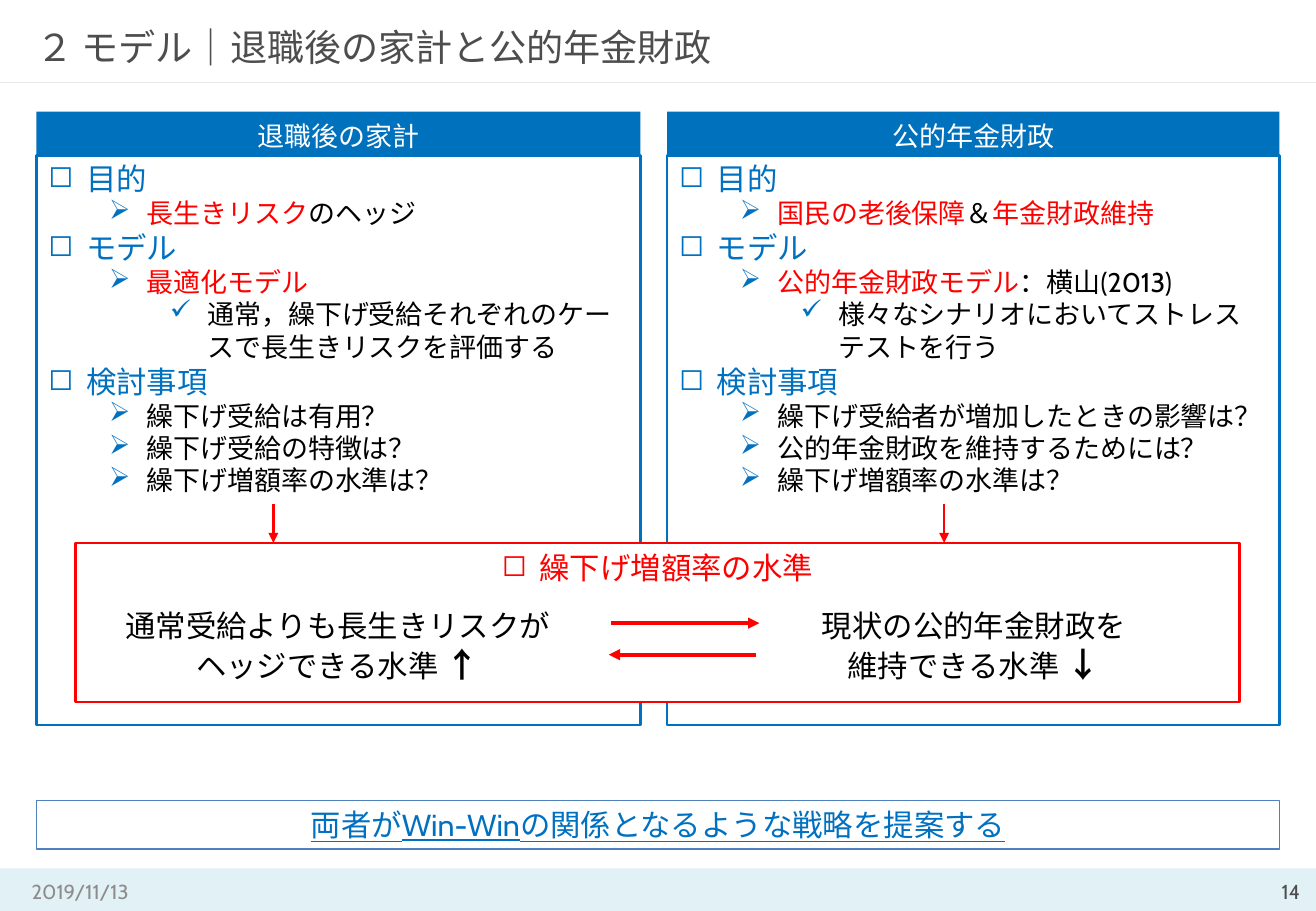
"""Build the slide on household finances after retirement and public pension finances."""
from lxml.etree import SubElement
from pptx import Presentation
from pptx.dml.color import RGBColor
from pptx.enum.shapes import MSO_CONNECTOR, MSO_SHAPE
from pptx.enum.text import MSO_ANCHOR, PP_ALIGN
from pptx.oxml.ns import qn
from pptx.util import Inches, Pt

COLORS = {
    "blue": "0070C0", "header": "0071BC", "outline": "4F81BD", "red": "FF0000",
    "black": "000000", "white": "FFFFFF", "title": "4D4D4D", "date": "8C8C8C",
    "rule": "EAEAEA", "footer": "DBEEF4",
}
WIDTH, HEIGHT = 10.83, 7.5
MARGIN = 0.3
CONTENT_WIDTH = WIDTH - 2 * MARGIN
HEADER_TOP, HEADER_HEIGHT = 0.92, 0.36
PANEL_TOP = HEADER_TOP + HEADER_HEIGHT
PANEL_HEIGHT = 4.69
RESULT_TOP = 4.47
LEVELS = [("◻", 18), ("➢", 16), ("✓", 16)]
INDENT, LEVEL_STEP = 0.31, 0.5


def add_box(at, fill=None, line=None, line_width=1.5, anchor=MSO_ANCHOR.TOP, insets=None):
    """Add a rectangle with the given fill, outline and text insets."""
    shape = slide.shapes.add_shape(MSO_SHAPE.RECTANGLE, *map(Inches, at))
    shape.shadow.inherit = False
    if fill:
        shape.fill.solid()
        shape.fill.fore_color.rgb = RGBColor.from_string(COLORS[fill])
    else:
        shape.fill.background()
    if line:
        shape.line.color.rgb = RGBColor.from_string(COLORS[line])
        shape.line.width = Pt(line_width)
    else:
        shape.line.fill.background()
    frame = shape.text_frame
    frame.word_wrap = True
    frame.vertical_anchor = anchor
    if insets:
        frame.margin_left, frame.margin_top, frame.margin_right, frame.margin_bottom = map(Inches, insets)
    return shape


def add_text(frame, runs, size, align=PP_ALIGN.LEFT, level=None, bullet_color="blue"):
    """Write one paragraph of coloured runs, bulleted when a level is given."""
    paragraph = frame.paragraphs[0]
    if paragraph.runs:
        paragraph = frame.add_paragraph()
    paragraph.alignment = align
    if level is not None:
        properties = paragraph._p.get_or_add_pPr()
        properties.set("marL", str(Inches(INDENT + level * LEVEL_STEP)))
        properties.set("indent", str(-Inches(INDENT)))
        color = SubElement(properties, qn("a:buClr"))
        SubElement(color, qn("a:srgbClr"), val=COLORS[bullet_color])
        SubElement(properties, qn("a:buChar"), char=LEVELS[level][0])
        paragraph.level = level
    paragraph.font.size = Pt(size)
    paragraph.font.name = "Cabin"
    for text, color in runs:
        run = paragraph.add_run()
        run.text = text
        run.font.color.rgb = RGBColor.from_string(COLORS[color])
    return paragraph


presentation = Presentation()
presentation.slide_width, presentation.slide_height = Inches(WIDTH), Inches(HEIGHT)
slide = presentation.slides.add_slide(presentation.slide_layouts[6])

footer = add_box((0, 7.15, WIDTH, HEIGHT - 7.15), fill="footer")
footer_color = footer.fill._xPr.find(qn("a:solidFill"))[0]
SubElement(footer_color, qn("a:alpha"), val="80000")

labels = [
    ((MARGIN, 0.17, CONTENT_WIDTH, 0.43), "２ モデル｜退職後の家計と公的年金財政", 22, "title", PP_ALIGN.LEFT),
    ((MARGIN - 0.04, 7.23, 2.34, 0.22), "2019/11/13", 12, "date", PP_ALIGN.LEFT),
    ((8.17, 7.24, 2.53, 0.2), "14", 12, "title", PP_ALIGN.RIGHT),
]
for at, text, size, color, align in labels:
    label = add_box(at, anchor=MSO_ANCHOR.MIDDLE, insets=(0, 0, 0, 0))
    add_text(label.text_frame, [(text, color)], size, align)

panels = [
    (MARGIN, 4.97, "退職後の家計", [
        (0, [("目的", "blue")]),
        (1, [("長生きリスク", "red"), ("のヘッジ", "black")]),
        (0, [("モデル", "blue")]),
        (1, [("最適化モデル", "red")]),
        (2, [("通常，繰下げ受給それぞれのケースで長生きリスクを評価する", "black")]),
        (0, [("検討事項", "blue")]),
        (1, [("繰下げ受給は有用？", "black")]),
        (1, [("繰下げ受給の特徴は？", "black")]),
        (1, [("繰下げ増額率の水準は？", "black")]),
    ]),
    (5.49, 5.04, "公的年金財政", [
        (0, [("目的", "blue")]),
        (1, [("国民の老後保障", "red"), ("＆", "black"), ("年金財政維持", "red")]),
        (0, [("モデル", "blue")]),
        (1, [("公的年金財政モデル", "red"), ("：横山(2013)", "black")]),
        (2, [("様々なシナリオにおいてストレステストを行う", "black")]),
        (0, [("検討事項", "blue")]),
        (1, [("繰下げ受給者が増加したときの影響は？", "black")]),
        (1, [("公的年金財政を維持するためには？", "black")]),
        (1, [("繰下げ増額率の水準は？", "black")]),
    ]),
]
for left, width, heading, items in panels:
    panel = add_box((left, PANEL_TOP, width, PANEL_HEIGHT), line="blue", insets=(0.1, 0.04, 0.1, 0.05))
    for level, runs in items:
        add_text(panel.text_frame, runs, LEVELS[level][1], level=level)
    header = add_box((left, HEADER_TOP, width, HEADER_HEIGHT), fill="header",
                     anchor=MSO_ANCHOR.MIDDLE, insets=(0, 0.06, 0, 0.03))
    paragraph = add_text(header.text_frame, [(heading, "white")], 16, PP_ALIGN.CENTER)
    paragraph.space_after = Pt(4.5)

result = add_box((0.62, RESULT_TOP, 9.58, 1.31), fill="white", line="red")
add_text(result.text_frame, [("繰下げ増額率の水準", "red")], 18, PP_ALIGN.CENTER, 0, "red")

outcomes = [
    (0.91, 3.74, "通常受給よりも長生きリスクが", "ヘッジできる水準 ", "↑"),
    (6.65, 2.73, "現状の公的年金財政を", "維持できる水準 ", "↓"),
]
for left, width, first_line, second_line, arrow in outcomes:
    outcome = add_box((left, 4.95, width, 0.74))
    outcome.text_frame.word_wrap = False
    add_text(outcome.text_frame, [(first_line, "black")], 18, PP_ALIGN.CENTER)
    paragraph = add_text(outcome.text_frame, [(second_line, "black"), (arrow, "black")], 18, PP_ALIGN.CENTER)
    paragraph.runs[-1].font.size = Pt(20)
    paragraph.runs[-1].font.bold = True

conclusion = add_box((MARGIN, 6.59, CONTENT_WIDTH, 0.4), line="outline", line_width=0.75)
paragraph = add_text(conclusion.text_frame, [("両者がWin-Winの関係となるような戦略を提案する", "blue")], 18, PP_ALIGN.CENTER)
paragraph.font.underline = True

lines = [
    ((0, 0.68, WIDTH, 0.68), "rule", 0.75, False),
    ((2.25, 4.15, 2.25, RESULT_TOP), "red", 1.5, True),
    ((7.77, 4.15, 7.77, RESULT_TOP), "red", 1.5, True),
    ((5.03, 5.13, 6.25, 5.13), "red", 2.25, True),
    ((6.22, 5.39, 5.01, 5.39), "red", 2.25, True),
]
for ends, color, width, has_head in lines:
    connector = slide.shapes.add_connector(MSO_CONNECTOR.STRAIGHT, *map(Inches, ends))
    connector.line.color.rgb = RGBColor.from_string(COLORS[color])
    connector.line.width = Pt(width)
    if has_head:
        SubElement(connector.line._get_or_add_ln(), qn("a:tailEnd"), type="triangle")
    SubElement(connector._element.spPr, qn("a:effectLst"))

presentation.save("out.pptx")
